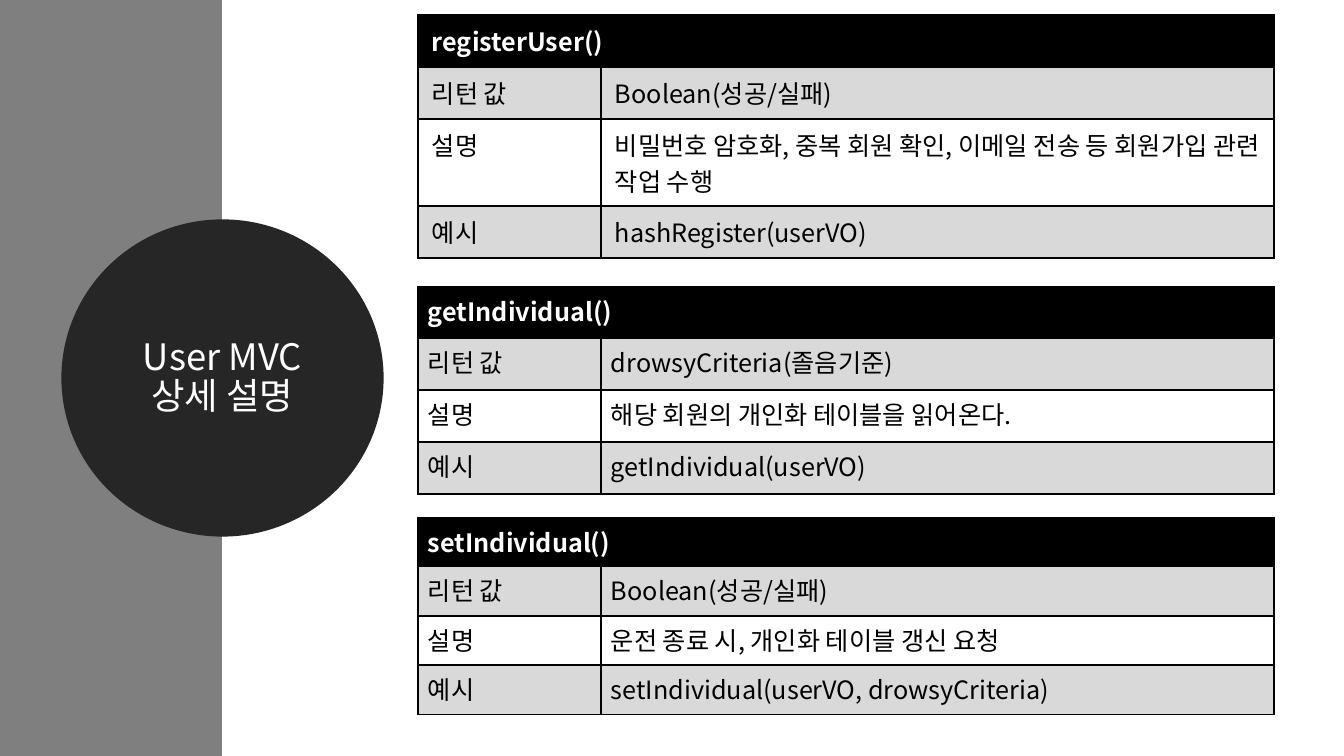
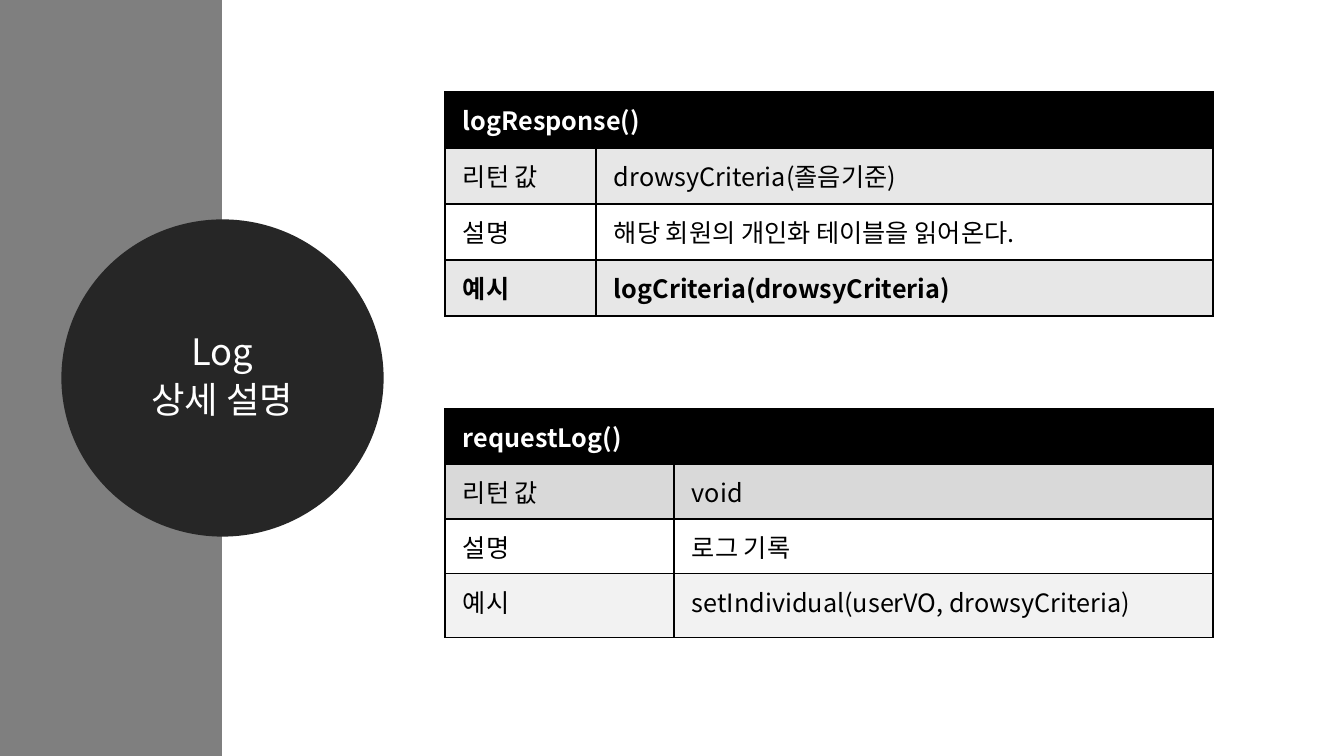
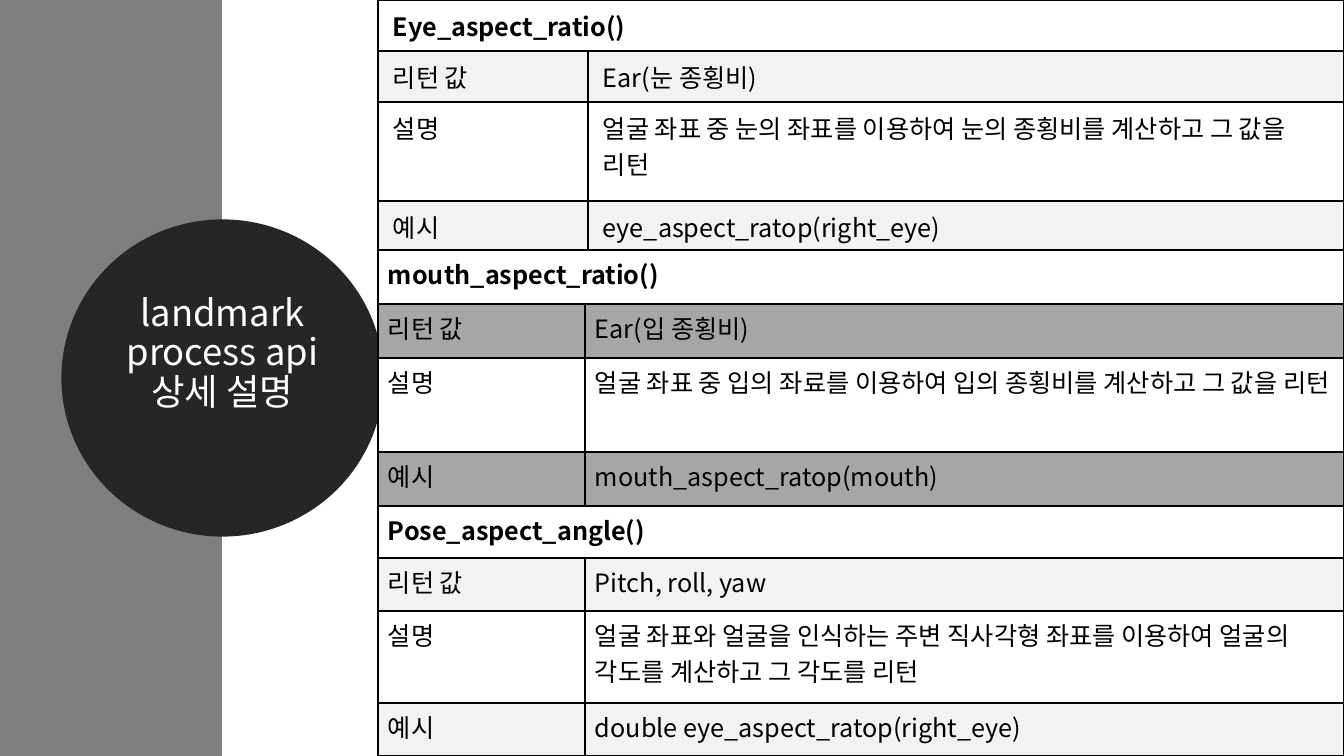
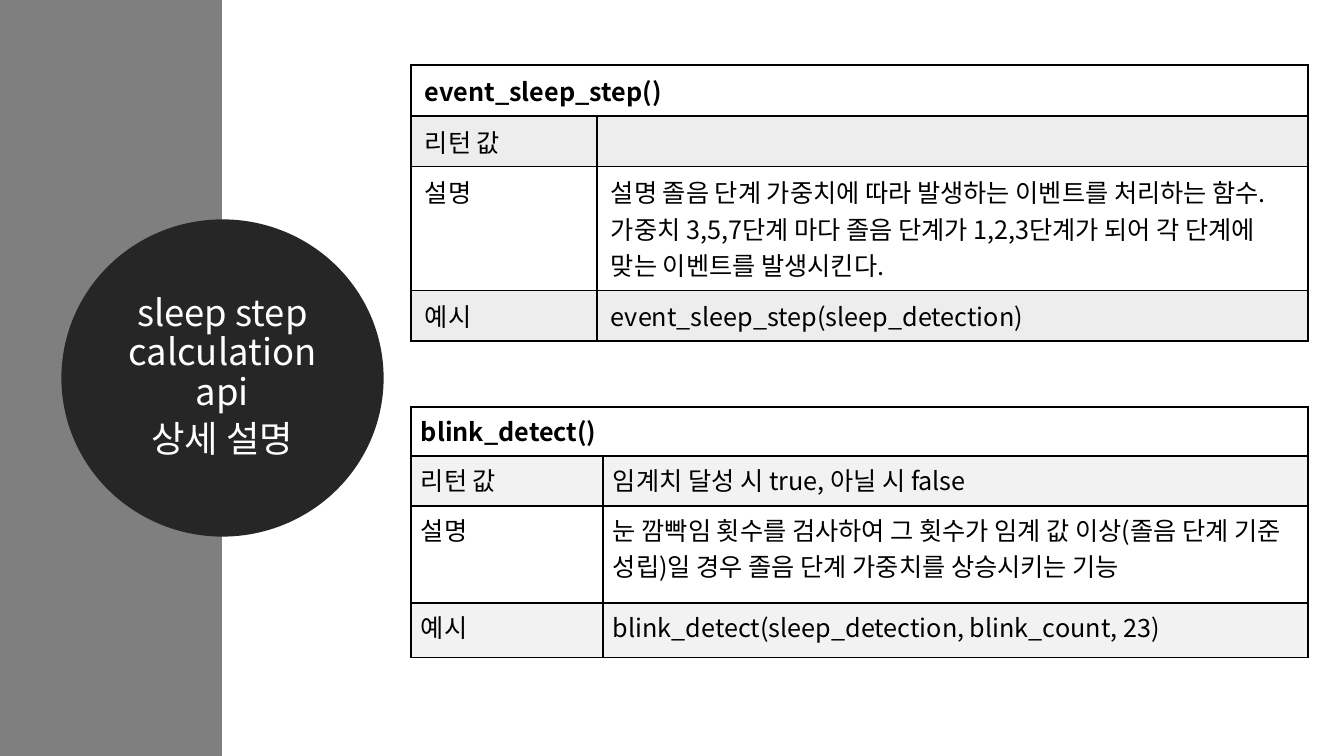
from pptx import Presentation
from pptx.dml.color import RGBColor
from pptx.enum.shapes import MSO_SHAPE
from pptx.enum.text import MSO_ANCHOR, MSO_AUTO_SIZE, PP_ALIGN
from pptx.oxml import parse_xml
from pptx.oxml.ns import nsdecls
from pptx.util import Pt

SCALE = 914400 / 100.8
WIDE, HIGH = 1344, 756
FONT = "Noto Sans CJK KR"
BLACK, WHITE, DARK, GRAY = "000000", "FFFFFF", "262626", "7F7F7F"
SILVER, PALE, MIST, STEEL, HAZE = "D9D9D9", "F2F2F2", "E7E7E7", "A6A6A6", "EDEDED"
LABELS = ("리턴 값", "설명", "예시")


def px(size):
    """Turn pixels into EMU."""
    return round(size * SCALE)


def rgb(code):
    """Turn a hex string into a colour."""
    return RGBColor.from_string(code)


def paint(item, code):
    """Give a shape or cell a plain fill."""
    item.fill.solid()
    item.fill.fore_color.rgb = rgb(code)


def inset(item, side, top):
    """Set equal left and right, and equal top and bottom margins."""
    item.margin_left = item.margin_right = px(side)
    item.margin_top = item.margin_bottom = px(top)


def write(frame, text, size=18, color=BLACK, bold=False, align=PP_ALIGN.LEFT,
          lead=1.0, after=0):
    """Write one paragraph per line of text."""
    for num, line in enumerate(text.split("\n")):
        para = frame.add_paragraph() if num else frame.paragraphs[0]
        para.alignment = align
        para.line_spacing = lead
        para.space_before, para.space_after = Pt(0), Pt(after)
        run = para.add_run()
        run.text = line
        font = run.font
        font.name, font.size, font.bold = FONT, Pt(size), bold
        font.color.rgb = rgb(color)


def edge(cell):
    """Draw a thin black border on all four sides of a cell."""
    props = cell._tc.get_or_add_tcPr()
    for side in "LRTB":
        props.append(parse_xml(
            f'<a:ln{side} {nsdecls("a")} w="12700"><a:solidFill>'
            f'<a:srgbClr val="{BLACK}"/></a:solidFill></a:ln{side}>'))


def back(slide, kind, box, code):
    """Add a plain shape in one colour."""
    item = slide.shapes.add_shape(kind, *map(px, box))
    item.shadow.inherit = False
    paint(item, code)
    item.line.fill.background()
    return item


def badge(slide, text, foot, box=(71, 229, 303, 298)):
    """Place the band and the dark disc behind the title."""
    band = back(slide, MSO_SHAPE.RECTANGLE, (0, 0, 222, HIGH), GRAY)
    disc = back(slide, MSO_SHAPE.OVAL, box, DARK)
    disc.line.color.rgb = rgb(DARK)
    disc.line.width = Pt(13.75)
    for spot, item in enumerate((band, disc), 2):
        slide.shapes._spTree.insert(spot, item._element)
    left, top, wide, high = box
    title = slide.shapes.title
    title.left, title.top = px(left + 44), px(top + 44)
    title.width, title.height = px(wide - 88), px(high - 88)
    frame = title.text_frame
    frame.auto_size = MSO_AUTO_SIZE.NONE
    frame.word_wrap = True
    frame.vertical_anchor = MSO_ANCHOR.MIDDLE
    inset(frame, 10, 5)
    frame.margin_bottom = px(foot)
    write(frame, text, size=26, color=WHITE, align=PP_ALIGN.CENTER,
          lead=0.9, after=6)


def grid(slide, left, wide, top, split, rows, name, notes,
         head=BLACK, tint=SILVER, base=None, pad=(10, 5), last=False):
    """Place a method table: a name row, then labels with notes."""
    table = slide.shapes.add_table(
        4, 2, px(left), px(top), px(wide), px(sum(rows))).table
    table.horz_banding = False
    for col, size in zip(table.columns, (split, wide - split)):
        col.width = px(size)
    lines = [(name, ""), *zip(LABELS, notes)]
    for num, (row, size, line) in enumerate(zip(table.rows, rows, lines)):
        row.height = px(size)
        fill = (head, tint, WHITE, base or tint)[num]
        ink = WHITE if fill == BLACK else BLACK
        bold = num == 0 or (last and num == 3)
        for cell, text in zip(row.cells, line):
            edge(cell)
            paint(cell, fill)
            inset(cell, *pad)
            if text:
                write(cell.text_frame, text, color=ink, bold=bold)
    table.cell(0, 0).merge(table.cell(0, 1))


def page(deck, title, left, wide, tables, foot=5):
    """Add a slide with a band, a disc and its tables."""
    slide = deck.slides.add_slide(deck.slide_layouts[5])
    badge(slide, title, foot)
    for table in tables:
        grid(slide, left, wide, **table)


def main():
    """Build the deck."""
    deck = Presentation()
    deck.slide_width, deck.slide_height = px(WIDE), px(HIGH)
    page(deck, "User MVC 상세 설명", 418, 856, [
        dict(top=15, split=183, rows=(52, 52, 86, 52), pad=(14, 7),
             name="registerUser()",
             notes=("Boolean(성공/실패)",
                    "비밀번호 암호화, 중복 회원 확인, 이메일 전송 등 회원가입 관련 작업 수행",
                    "hashRegister(userVO)")),
        dict(top=287, split=183, rows=(51, 52, 52, 52),
             name="getIndividual()",
             notes=("drowsyCriteria(졸음기준)",
                    "해당 회원의 개인화 테이블을 읽어온다.",
                    "getIndividual(userVO)")),
        dict(top=518, split=183, rows=(48, 50, 49, 50),
             name="setIndividual()",
             notes=("Boolean(성공/실패)",
                    "운전 종료 시, 개인화 테이블 갱신 요청",
                    "setIndividual(userVO, drowsyCriteria)")),
    ])
    page(deck, "Log\n상세 설명", 445, 768, [
        dict(top=92, split=151, rows=(56, 56, 56, 56), pad=(18, 9),
             tint=MIST, last=True, name="logResponse()",
             notes=("drowsyCriteria(졸음기준)",
                    "해당 회원의 개인화 테이블을 읽어온다.",
                    "logCriteria(drowsyCriteria)")),
        dict(top=409, split=229, rows=(55, 55, 55, 64), pad=(18, 9),
             base=PALE, name="requestLog()",
             notes=("void", "로그 기록",
                    "setIndividual(userVO, drowsyCriteria)")),
    ])
    page(deck, "landmark process api 상세 설명", 378, 966, [
        dict(top=0, split=210, rows=(51, 51, 99, 50), pad=(15, 7),
             head=WHITE, tint=PALE, name="Eye_aspect_ratio()",
             notes=("Ear(눈 종횡비)",
                    "얼굴 좌표 중 눈의 좌표를 이용하여 눈의 종횡비를 계산하고 그 값을 리턴",
                    "eye_aspect_ratop(right_eye)")),
        dict(top=250, split=207, rows=(54, 54, 94, 54),
             head=WHITE, tint=STEEL, name="mouth_aspect_ratio()",
             notes=("Ear(입 종횡비)",
                    "얼굴 좌표 중 입의 좌료를 이용하여 입의 종횡비를 계산하고 그 값을 리턴",
                    "mouth_aspect_ratop(mouth)")),
        dict(top=506, split=207, rows=(52, 53, 92, 53),
             head=WHITE, tint=PALE, name="Pose_aspect_angle()",
             notes=("Pitch, roll, yaw",
                    "얼굴 좌표와 얼굴을 인식하는 주변 직사각형 좌표를 이용하여 얼굴의 각도를 계산하고 그 각도를 리턴",
                    "double eye_aspect_ratop(right_eye)")),
    ], foot=53)
    page(deck, "sleep step calculation api\n상세 설명", 411, 897, [
        dict(top=65, split=186, rows=(51, 50, 124, 50), pad=(14, 7),
             head=WHITE, tint=HAZE, name="event_sleep_step()",
             notes=("",
                    "설명 졸음 단계 가중치에 따라 발생하는 이벤트를 처리하는 함수. "
                    "가중치 3,5,7단계 마다 졸음 단계가 1,2,3단계가 되어 각 단계에 맞는 이벤트를 발생시킨다.",
                    "event_sleep_step(sleep_detection)")),
        dict(top=407, split=192, rows=(49, 50, 97, 55),
             head=WHITE, tint=PALE, name="blink_detect()",
             notes=("임계치 달성 시 true, 아닐 시 false",
                    "눈 깜빡임 횟수를 검사하여 그 횟수가 임계 값 이상(졸음 단계 기준 성립)일 경우 "
                    "졸음 단계 가중치를 상승시키는 기능",
                    "blink_detect(sleep_detection, blink_count, 23)")),
    ])
    deck.save("out.pptx")


if __name__ == "__main__":
    main()
